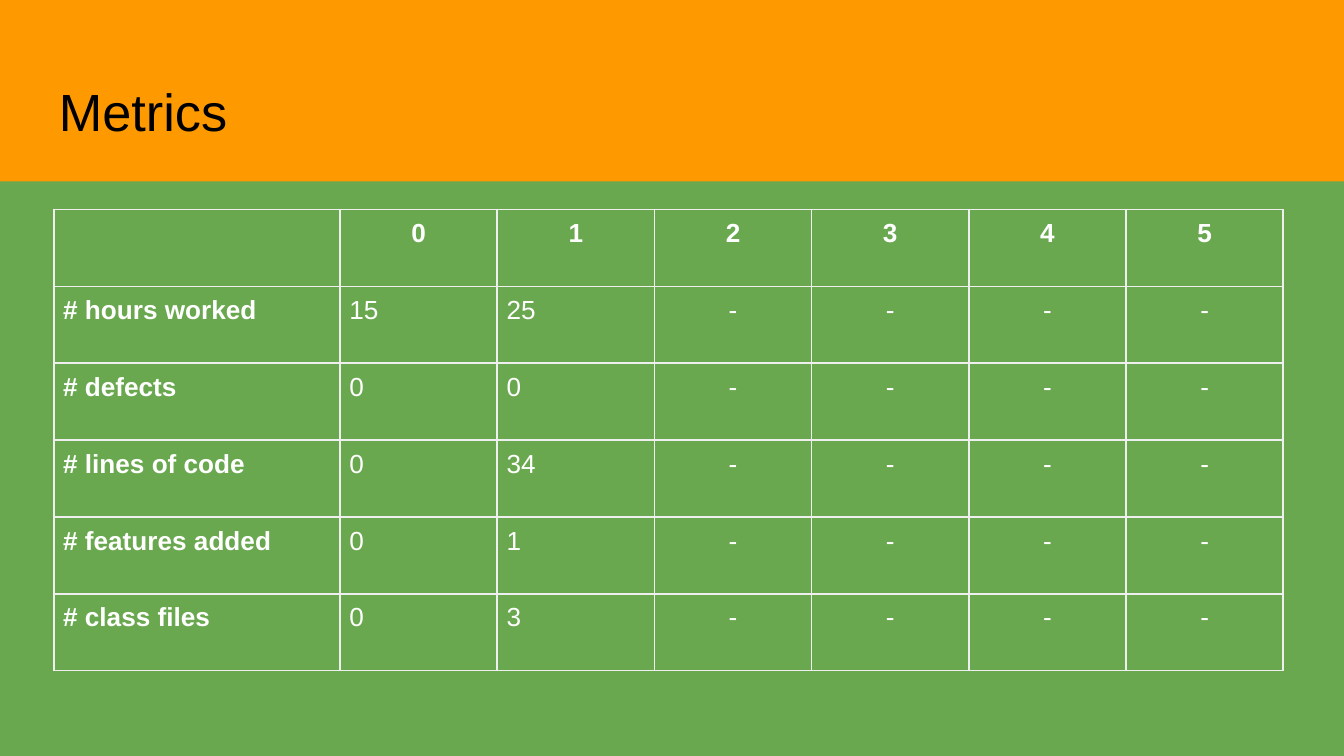
from lxml.etree import SubElement
from pptx import Presentation
from pptx.dml.color import RGBColor
from pptx.enum.shapes import MSO_SHAPE
from pptx.enum.text import MSO_ANCHOR, PP_ALIGN
from pptx.oxml.ns import qn
from pptx.util import Inches, Pt

COLORS = {"green": "6AA84F", "orange": "FF9900", "black": "000000",
          "white": "FFFFFF", "border": "EFEFEF"}
ROWS = [
    ["", "0", "1", "2", "3", "4", "5"],
    ["# hours worked", "15", "25", "-", "-", "-", "-"],
    ["# defects", "0", "0", "-", "-", "-", "-"],
    ["# lines of code", "0", "34", "-", "-", "-", "-"],
    ["# features added", "0", "1", "-", "-", "-", "-"],
    ["# class files", "0", "3", "-", "-", "-", "-"],
]


def add_span(para, text, size, color, bold=False):
    span = para.add_run()
    span.text = text
    span.font.name = "Arial"
    span.font.size = Pt(size)
    span.font.bold = bold
    span.font.color.rgb = RGBColor.from_string(COLORS[color])


def add_borders(cell):
    properties = cell._tc.get_or_add_tcPr()
    for position, side in enumerate(("a:lnL", "a:lnR", "a:lnT", "a:lnB")):
        line = SubElement(properties, qn(side), w=str(Pt(1)))
        fill = SubElement(line, qn("a:solidFill"))
        SubElement(fill, qn("a:srgbClr"), val=COLORS["border"])
        properties.insert(position, line)  # borders come before the fill


deck = Presentation()
deck.slide_width = Inches(10)
deck.slide_height = Inches(10) * 9 // 16
page = deck.slides.add_slide(deck.slide_layouts[6])
page.background.fill.solid()
page.background.fill.fore_color.rgb = RGBColor.from_string(COLORS["green"])

# Title band
band = page.shapes.add_shape(MSO_SHAPE.RECTANGLE, 0, 0, Inches(10), Inches(1.35))
band.shadow.inherit = False
band.fill.solid()
band.fill.fore_color.rgb = RGBColor.from_string(COLORS["orange"])
band.line.fill.background()

title = page.shapes.add_textbox(Inches(0.34), Inches(0.49), Inches(9.32), Inches(0.63))
frame = title.text_frame
frame.word_wrap = True
frame.margin_left = frame.margin_right = Inches(0.1)
frame.margin_top = frame.margin_bottom = Inches(0.1)
add_span(frame.paragraphs[0], "Metrics", 28, "black")

# Metrics table
widths = [2.13] + [1.17] * 6
table_height = Inches(3.43)
table = page.shapes.add_table(len(ROWS), len(widths), Inches(0.4), Inches(1.56),
                              Inches(sum(widths)), table_height).table
table.first_row = table.horz_banding = False
for column, width in zip(table.columns, widths):
    column.width = Inches(width)

for row_index, values in enumerate(ROWS):
    table.rows[row_index].height = table_height // len(ROWS)
    for column_index, value in enumerate(values):
        cell = table.cell(row_index, column_index)
        cell.fill.background()
        cell.vertical_anchor = MSO_ANCHOR.TOP
        cell.margin_left = cell.margin_right = Inches(0.07)
        cell.margin_top = cell.margin_bottom = Inches(0.07)
        add_borders(cell)
        if value:
            para = cell.text_frame.paragraphs[0]
            centered = row_index == 0 or value == "-"
            para.alignment = PP_ALIGN.CENTER if centered else PP_ALIGN.LEFT
            add_span(para, value, 14, "white", bold=row_index == 0 or column_index == 0)

deck.save("out.pptx")
